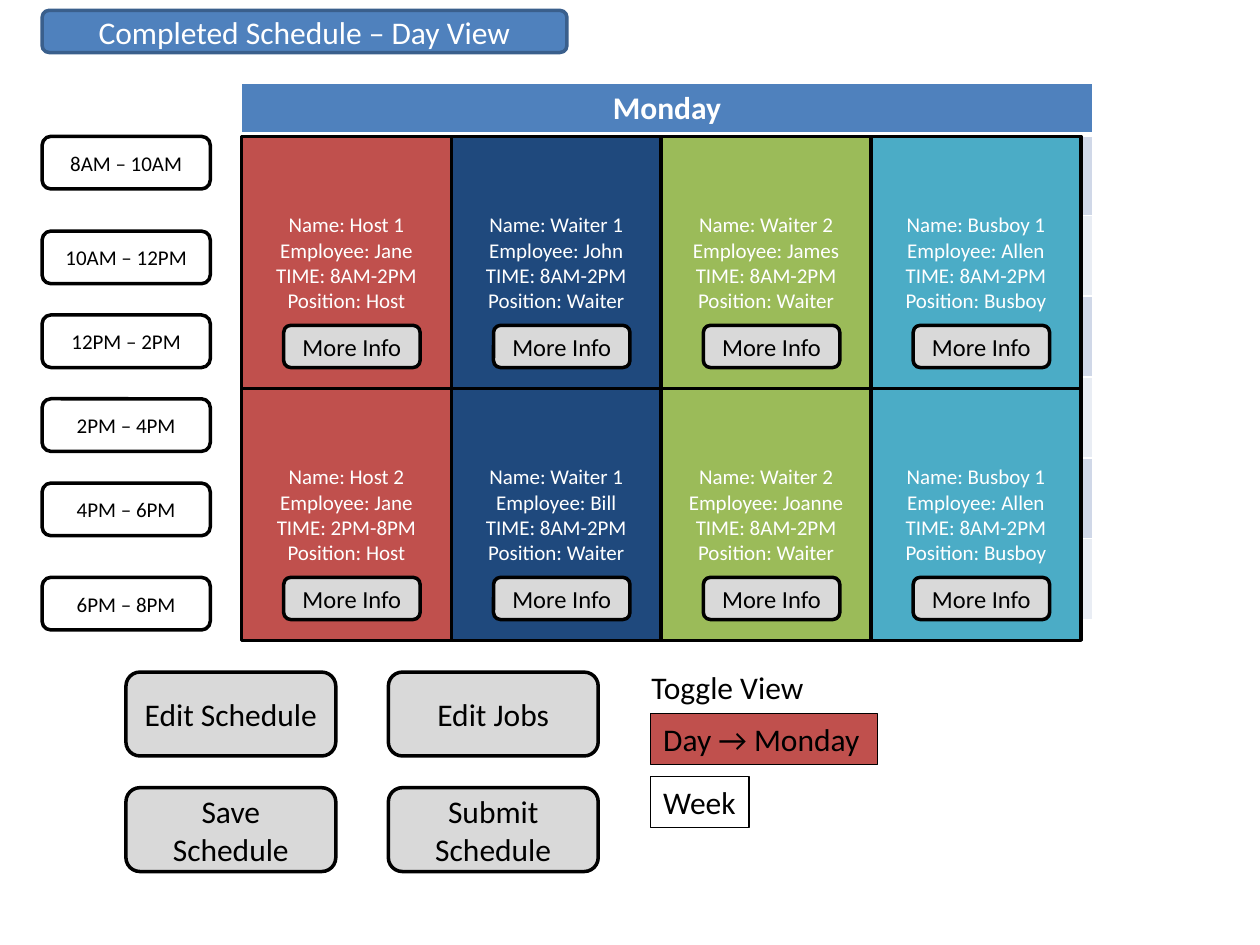
from lxml import etree
from pptx import Presentation
from pptx.dml.color import RGBColor
from pptx.enum.shapes import MSO_SHAPE
from pptx.enum.text import MSO_ANCHOR, MSO_AUTO_SIZE, PP_ALIGN
from pptx.oxml.ns import qn
from pptx.util import Cm, Pt

RECT, ROUND = MSO_SHAPE.RECTANGLE, MSO_SHAPE.ROUNDED_RECTANGLE
MID, LEFT, CENTER = MSO_ANCHOR.MIDDLE, PP_ALIGN.LEFT, PP_ALIGN.CENTER
GROW = MSO_AUTO_SIZE.SHAPE_TO_FIT_TEXT
FONT = "Calibri"
BLACK, WHITE, GRAY, BLUE, RED = "000000", "FFFFFF", "D9D9D9", "4F81BD", "C0504D"
BANDS = ("D0D8E8", "E9EDF4")
COLORS = (RED, "1F497D", "9BBB59", "4BACC6")
GRID_X, GRID_Y = 4.87, 2.75
CARD_W, CARD_H = 4.23, 5.08

TIMES = (
    (2.75, "8AM – 10AM"), (4.66, "10AM – 12PM"), (6.35, "12PM – 2PM"),
    (8.04, "2PM – 4PM"), (9.74, "4PM – 6PM"), (11.64, "6PM – 8PM"),
)
# Each shift: job, employee, hours, position
SHIFTS = (
    (("Host 1", "Jane", "8AM-2PM", "Host"),
     ("Waiter 1", "John", "8AM-2PM", "Waiter"),
     ("Waiter 2", "James", "8AM-2PM", "Waiter"),
     ("Busboy 1", "Allen", "8AM-2PM", "Busboy")),
    (("Host 2", "Jane", "2PM-8PM", "Host"),
     ("Waiter 1", "Bill", "8AM-2PM", "Waiter"),
     ("Waiter 2", "Joanne", "8AM-2PM", "Waiter"),
     ("Busboy 1", "Allen", "8AM-2PM", "Busboy")),
)
LABELS = ("Name", "Employee", "TIME", "Position")
ACTIONS = (("Edit Schedule", "Edit Jobs"), ("Save Schedule", "Submit Schedule"))


def rgb(code):
    """Turn a hex string into a colour."""
    return RGBColor.from_string(code)


def write(frame, lines, size, color=BLACK, align=CENTER, bold=False):
    """Fill a text frame with one paragraph per line."""
    for i, line in enumerate(lines):
        para = frame.paragraphs[0] if i == 0 else frame.add_paragraph()
        para.alignment = align
        run = para.add_run()
        run.text = line
        font = run.font
        font.name, font.size, font.bold = FONT, Pt(size), bold
        font.color.rgb = rgb(color)


def add_box(slide, kind, spot, lines, size, fill=None, color=BLACK, line=BLACK):
    """Add an outlined shape with centred text; spot is in cm."""
    box = slide.shapes.add_shape(kind, *map(Cm, spot))
    box.shadow.inherit = False
    if fill:
        box.fill.solid()
        box.fill.fore_color.rgb = rgb(fill)
    else:
        box.fill.background()
    box.line.color.rgb = rgb(line)
    box.line.width = Pt(2)
    frame = box.text_frame
    frame.word_wrap = True
    frame.vertical_anchor = MID
    write(frame, lines, size, color)
    return box


def fit(frame):
    """Let the shape take the size of its unwrapped text."""
    frame.word_wrap = False
    frame.auto_size = GROW


def add_choice(slide, spot, text, fill=None):
    """Add a thin-lined view choice with left-aligned text."""
    box = add_box(slide, RECT, spot, [text], 18, fill)
    box.line.width = Pt(0.75)
    frame = box.text_frame
    frame.vertical_anchor = MSO_ANCHOR.TOP
    frame.paragraphs[0].alignment = LEFT
    fit(frame)


def add_label(slide, spot, text):
    """Add a plain one-line text box."""
    frame = slide.shapes.add_textbox(*map(Cm, spot)).text_frame
    fit(frame)
    write(frame, [text], 18, align=LEFT)


def edge(cell, side, width):
    """Draw one white cell border."""
    props = cell._tc.get_or_add_tcPr()
    line = etree.SubElement(props, qn("a:ln" + side), w=str(Pt(width)))
    fill = etree.SubElement(line, qn("a:solidFill"))
    etree.SubElement(fill, qn("a:srgbClr"), val=WHITE)


def add_day(slide, day):
    """Add the one-column day table with its banded rows."""
    spot = (GRID_X, 1.68, 17.15, 10.77)
    table = slide.shapes.add_table(7, 1, *map(Cm, spot)).table
    for i, row in enumerate(table.rows):
        row.height = Cm(1.63 if i else 0.99)
        cell = row.cells[0]
        for side in "LRTB":
            thick = (i, side) in ((0, "B"), (1, "T"))
            edge(cell, side, 3 if thick else 1)
        cell.fill.solid()
        cell.fill.fore_color.rgb = rgb(BANDS[(i - 1) % 2] if i else BLUE)
    write(table.cell(0, 0).text_frame, [day], 18, WHITE, bold=True)


def add_shifts(slide):
    """Add the grid of shift cards, then a button on each."""
    spots = [(GRID_X + c * CARD_W, GRID_Y + r * CARD_H, COLORS[c], shift)
             for r, row in enumerate(SHIFTS) for c, shift in enumerate(row)]
    for x, y, fill, shift in spots:
        lines = [f"{label}: {value}" for label, value in zip(LABELS, shift)]
        add_box(slide, RECT, (x, y, CARD_W, CARD_H), lines, 12, fill, WHITE)
    for x, y, _, _ in spots:
        add_box(slide, ROUND, (x + 0.85, y + 3.81, 2.75, 0.85),
                ["More Info"], 14, GRAY)


def main():
    """Build the slide and save it."""
    deck = Presentation()
    deck.slide_width, deck.slide_height = Cm(25.4), Cm(19.05)
    slide = deck.slides.add_slide(deck.slide_layouts[6])
    add_day(slide, "Monday")
    for y, text in TIMES:
        add_box(slide, ROUND, (0.85, y, 3.39, 1.06), [text], 12)
    add_shifts(slide)
    add_label(slide, (12.88, 13.34, 3.63, 1.03), "Toggle View")
    add_choice(slide, (13.12, 14.39, 4.57, 1.03), "Day → Monday", RED)
    add_choice(slide, (13.12, 15.66, 1.98, 1.03), "Week")
    for r, row in enumerate(ACTIONS):
        for c, text in enumerate(row):
            spot = (2.54 + c * 5.29, 13.55 + r * 2.33, 4.23, 1.69)
            add_box(slide, ROUND, spot, [text], 18, GRAY)
    add_box(slide, ROUND, (0.85, 0.21, 10.58, 0.85),
            ["Completed Schedule – Day View"], 18, BLUE, WHITE, "3A5F8C")
    deck.save("out.pptx")


main()
